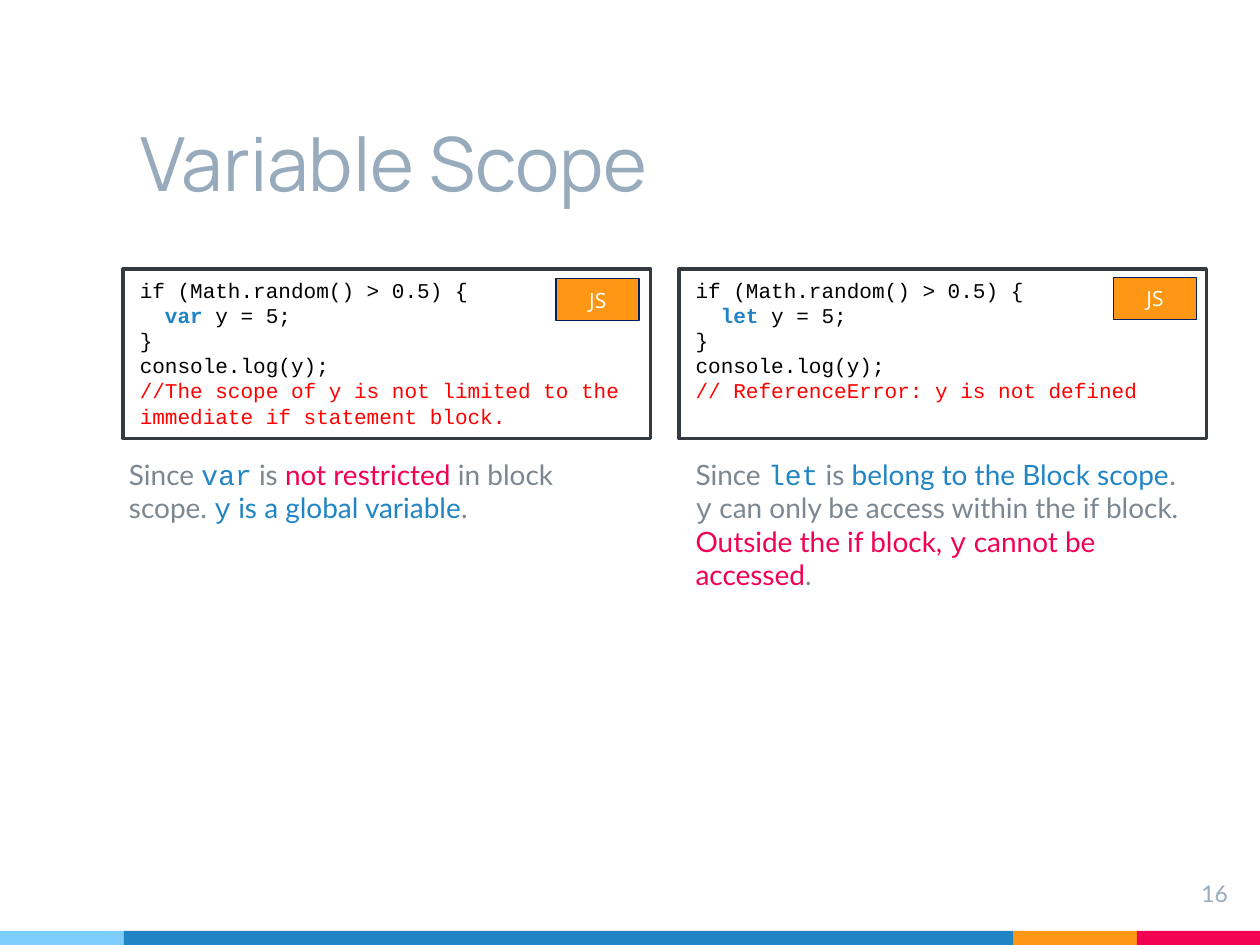
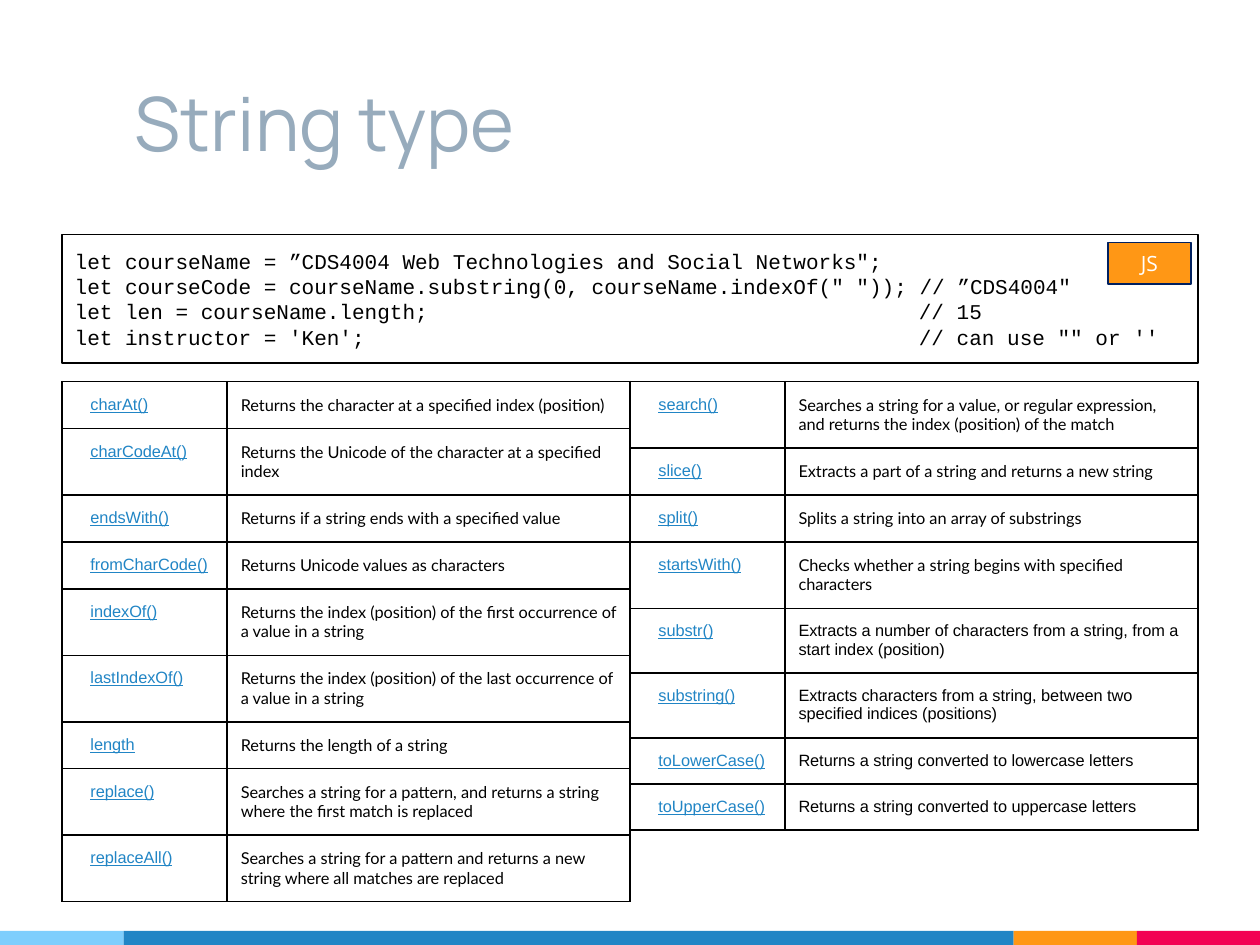
from lxml.etree import SubElement
from pptx import Presentation
from pptx.dml.color import RGBColor
from pptx.enum.shapes import MSO_SHAPE
from pptx.enum.text import MSO_ANCHOR, MSO_AUTO_SIZE, PP_ALIGN
from pptx.oxml import parse_xml
from pptx.oxml.ns import nsdecls, qn
from pptx.util import Pt

COLORS = {
    "sky": "7ECEFD", "blue": "2185C5", "orange": "FF9715", "crimson": "F20253",
    "title": "97ABBC", "body": "7C8791", "pink": "F20052", "frame": "343A40",
    "navy": "002060", "comment": "FF0000", "black": "000000", "white": "FFFFFF",
}
SANS, MONO, ARIAL = "Lato", "Courier New", "Arial"
BANDS = [("sky", 53), ("blue", 381.4), ("orange", 52.8), ("crimson", 52.8)]


def color(name):
    return RGBColor.from_string(COLORS[name])


class Deck:
    def __init__(self):
        self.deck = Presentation()
        self.deck.slide_width, self.deck.slide_height = Pt(540), Pt(405)
        self.page = None

    def new_page(self, title, anchor, inset):
        self.page = self.deck.slides.add_slide(self.deck.slide_layouts[5])
        left = 0
        for fill, width in BANDS:
            self.rectangle((left, 399, width, 6), fill)
            left += width
        box = self.page.shapes.title
        box.left, box.top, box.width, box.height = map(Pt, (52.8, 28, 447.6, 67.7))
        self.fill_frame(box, [[(title, "title")]], 32, "Manrope", anchor, (inset, inset))

    def fill_frame(self, box, paragraphs, size, font, anchor=MSO_ANCHOR.TOP,
                   insets=(7.2, 3.6), align=PP_ALIGN.LEFT, pitch=None, tab=None):
        frame = box.text_frame
        frame.word_wrap = True
        frame.auto_size = MSO_AUTO_SIZE.NONE
        frame.vertical_anchor = anchor
        frame.margin_left = frame.margin_right = Pt(insets[0])
        frame.margin_top = frame.margin_bottom = Pt(insets[1])
        for index, spans in enumerate(paragraphs):
            para = frame.add_paragraph() if index else frame.paragraphs[0]
            if tab:
                tabs = SubElement(para._p.get_or_add_pPr(), qn("a:tabLst"))
                SubElement(tabs, qn("a:tab"), pos=str(Pt(tab)), algn="l")
            para.alignment = align
            if pitch:
                para.line_spacing = Pt(pitch)
            self.add_spans(para, spans, size, font)

    def add_spans(self, para, spans, size, font):
        for text, tint, *special in spans:
            span = para.add_run()
            span.text = text
            span.font.size = Pt(size)
            span.font.name = MONO if "mono" in special else font
            span.font.bold = "bold" in special
            span.font.underline = "underline" in special
            span.font.color.rgb = color(tint)

    def rectangle(self, place, fill=None, line=None, weight=0.75):
        box = self.page.shapes.add_shape(MSO_SHAPE.RECTANGLE, *map(Pt, place))
        box.shadow.inherit = False
        if fill:
            box.fill.solid()
            box.fill.fore_color.rgb = color(fill)
        else:
            box.fill.background()
        if line:
            box.line.color.rgb = color(line)
            box.line.width = Pt(weight)
        else:
            box.line.fill.background()
        return box

    def text(self, place, spans, size, **style):
        box = self.page.shapes.add_textbox(*map(Pt, place))
        self.fill_frame(box, [spans], size, SANS, **style)

    def code(self, place, lines, line, weight, **style):
        box = self.rectangle(place, None, line, weight)
        self.fill_frame(box, lines, 9, MONO, pitch=10.8, **style)

    def badge(self, left, top):
        box = self.rectangle((left, top, 35.6, 18), "orange", "navy")
        self.fill_frame(box, [[("JS", "white")]], 9, "Open Sans",
                        MSO_ANCHOR.MIDDLE, align=PP_ALIGN.CENTER)

    def reference_table(self, left, top, widths, rows, pad=5.85):
        pitches = {SANS: 8.4, ARIAL: 8.05}
        heights = [2 * pad + pitches[font] * (2 if len(text) > 53 else 1)
                   for _, text, font in rows]
        holder = self.page.shapes.add_table(
            len(rows), 2, *map(Pt, (left, top, sum(widths), sum(heights))))
        table = holder.table
        table.first_row = table.horz_banding = False
        for column, width in zip(table.columns, widths):
            column.width = Pt(width)
        for row, height, (name, text, font) in zip(table.rows, heights, rows):
            row.height = Pt(height)
            name_cell, text_cell = row.cells
            self.cell(name_cell, (name, "blue", "underline"), ARIAL, 12.2, pad)
            self.cell(text_cell, (text, "black"), font, pad, pad)

    def cell(self, cell, span, font, indent, pad):
        cell.fill.background()
        cell.margin_left = Pt(indent)
        cell.margin_right = cell.margin_top = cell.margin_bottom = Pt(pad)
        self.add_spans(cell.text_frame.paragraphs[0], [span], 7, font)
        properties = cell._tc.get_or_add_tcPr()
        for index, side in enumerate("LRTB"):
            properties.insert(index, parse_xml(
                f'<a:ln{side} {nsdecls("a")} w="{Pt(0.75)}"><a:solidFill>'
                f'<a:srgbClr val="{COLORS["black"]}"/></a:solidFill></a:ln{side}>'))


def scope_code(keyword, comment):
    return [
        [("if (Math.random() > 0.5) {", "black")],
        [("  ", "black"), (keyword, "blue", "bold"), (" y = 5;", "black")],
        [("}", "black")],
        [("console.log(y);", "black")],
        [(comment, "comment")],
    ]


SCOPES = [
    (52.8, 48.2, 238.4, 119.4, "var",
     "//The scope of y is not limited to the immediate if statement block.",
     [("Since ", "body"), ("var", "blue", "mono"), (" is ", "body"),
      ("not restricted ", "pink"), ("in block scope. ", "body"),
      ("y", "blue", "mono"), (" is a global variable", "blue"), (".", "body")]),
    (291, 291, 477.2, 118.9, "let", "// ReferenceError: y is not defined",
     [("Since ", "body"), ("let", "blue", "mono"), (" is ", "body"),
      ("belong to the Block scope", "blue"), (". ", "body"), ("y", "body", "mono"),
      (" can only be access within the if block. ", "body"),
      ("Outside the if block, ", "pink"), ("y", "pink", "mono"),
      (" cannot be accessed", "pink"), (".", "body")]),
]

STRING_CODE = [
    'let courseName = ”CDS4004 Web Technologies and Social Networks";',
    'let courseCode = courseName.substring(0, courseName.indexOf(" ")); // ”CDS4004"',
    "let len = courseName.length;\t// 15",
    "let instructor = 'Ken';\t// can use \"\" or ''",
]

FIRST_METHODS = [
    ("charAt()", "Returns the character at a specified index (position)", SANS),
    ("charCodeAt()", "Returns the Unicode of the character at a specified index", SANS),
    ("endsWith()", "Returns if a string ends with a specified value", SANS),
    ("fromCharCode()", "Returns Unicode values as characters", SANS),
    ("indexOf()", "Returns the index (position) of the first occurrence "
     "of a value in a string", SANS),
    ("lastIndexOf()", "Returns the index (position) of the last occurrence "
     "of a value in a string", SANS),
    ("length", "Returns the length of a string", SANS),
    ("replace()", "Searches a string for a pattern, and returns a string "
     "where the first match is replaced", SANS),
    ("replaceAll()", "Searches a string for a pattern and returns a new string "
     "where all matches are replaced", SANS),
]

LAST_METHODS = [
    ("search()", "Searches a string for a value, or regular expression, "
     "and returns the index (position) of the match", SANS),
    ("slice()", "Extracts a part of a string and returns a new string", SANS),
    ("split()", "Splits a string into an array of substrings", SANS),
    ("startsWith()", "Checks whether a string begins with specified characters", SANS),
    ("substr()", "Extracts a number of characters from a string, "
     "from a start index (position)", ARIAL),
    ("substring()", "Extracts characters from a string, "
     "between two specified indices (positions)", ARIAL),
    ("toLowerCase()", "Returns a string converted to lowercase letters", ARIAL),
    ("toUpperCase()", "Returns a string converted to uppercase letters", ARIAL),
]


def main():
    deck = Deck()

    deck.new_page("Variable Scope", MSO_ANCHOR.BOTTOM, 7.2)
    deck.text((501, 370, 32.4, 24.5), [("16", "title")], 9.8,
              insets=(7.2, 7.2), align=PP_ALIGN.RIGHT)
    for left, note_left, badge_left, badge_top, keyword, comment, note in SCOPES:
        deck.code((left, 115.2, 226, 72.7), scope_code(keyword, comment), "frame", 1.5)
        deck.badge(badge_left, badge_top)
        deck.text((note_left, 192.4, 226, 65), note, 12)

    deck.new_page("String type", MSO_ANCHOR.TOP, 5)
    deck.code((26.6, 100.5, 486.8, 55.2), [[(line, "black")] for line in STRING_CODE],
              "black", 0.75, anchor=MSO_ANCHOR.MIDDLE, insets=(5.4, 5.4), tab=361.8)
    deck.reference_table(26.6, 163.6, (70.8, 172.6), FIRST_METHODS)
    deck.reference_table(270, 163.6, (66.4, 177), LAST_METHODS)
    deck.badge(474.8, 103.9)

    deck.deck.save("out.pptx")


if __name__ == "__main__":
    main()
